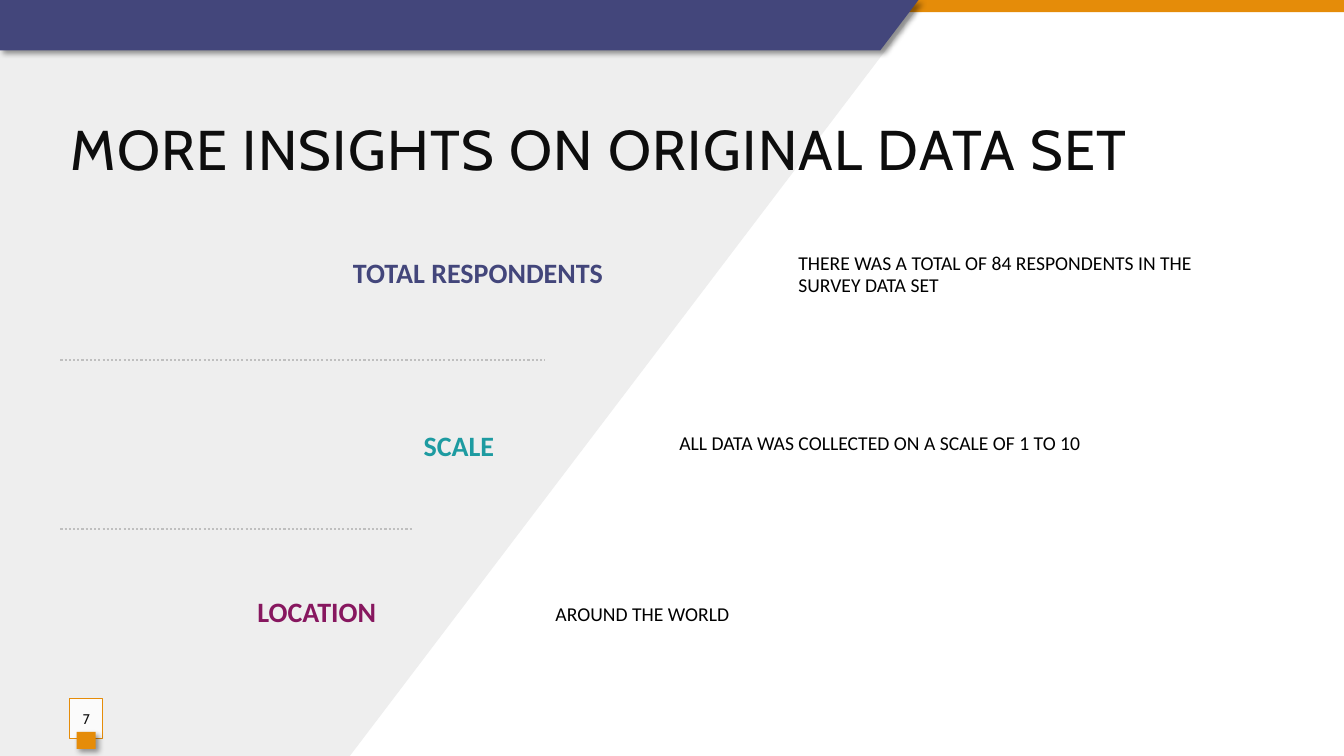
from lxml import etree
from pptx import Presentation
from pptx.dml.color import RGBColor
from pptx.enum.dml import MSO_LINE
from pptx.enum.shapes import MSO_CONNECTOR, MSO_SHAPE
from pptx.enum.text import MSO_ANCHOR, MSO_AUTO_SIZE, PP_ALIGN
from pptx.oxml.ns import qn
from pptx.util import Inches, Pt

RECTANGLE, STRAIGHT = MSO_SHAPE.RECTANGLE, MSO_CONNECTOR.STRAIGHT
LEFT, CENTER, RIGHT = PP_ALIGN.LEFT, PP_ALIGN.CENTER, PP_ALIGN.RIGHT
MIDDLE, FIXED_SIZE, DOTTED = MSO_ANCHOR.MIDDLE, MSO_AUTO_SIZE.NONE, MSO_LINE.ROUND_DOT
TITLE_ONLY = 5

COLORS = {
    "panel": "EEEEEE", "orange": "E58C09", "indigo": "43467B", "teal": "1D9BA1",
    "plum": "87175F", "dots": "BFBFBF", "ink": "0D0D0D", "black": "000000",
    "white": "FFFFFF",
}
HEADING_FONT, BODY_FONT = "Cabin", "Calibri"


def rgb(name):
    return RGBColor.from_string(COLORS[name])


def write(shape, text, font=BODY_FONT, size=14, color="black", bold=False,
          align=LEFT, line_spacing=None, tracking=None, side_inset=0.1):
    """Put one formatted, vertically centred paragraph into a shape."""
    frame = shape.text_frame
    frame.word_wrap, frame.auto_size = True, FIXED_SIZE
    frame.vertical_anchor = MIDDLE
    frame.margin_left = frame.margin_right = Inches(side_inset)
    frame.margin_top = frame.margin_bottom = Inches(0.05)
    paragraph = frame.paragraphs[0]
    paragraph.alignment = align
    if line_spacing:
        paragraph.line_spacing = line_spacing
    run = paragraph.add_run()
    run.text = text
    run.font.name, run.font.size, run.font.bold = font, Pt(size), bold
    run.font.color.rgb = rgb(color)
    if tracking:
        run.font._element.set("spc", str(tracking * 100))


class SlideBuilder:
    """Draws on one slide; every length is a percentage of the slide's size."""

    def __init__(self, deck):
        self.deck = deck
        self.slide = deck.slides.add_slide(deck.slide_layouts[TITLE_ONLY])
        self.shapes = self.slide.shapes
        self.slide.background.fill.solid()
        self.slide.background.fill.fore_color.rgb = rgb("white")

    def x(self, share):
        return round(self.deck.slide_width * share / 100)

    def y(self, share):
        return round(self.deck.slide_height * share / 100)

    def box(self, left, top, width, height):
        return self.x(left), self.y(top), self.x(width), self.y(height)

    def paint(self, shape, fill, outline=None, opacity=None, shadow=False):
        shape.shadow.inherit = False
        shape.fill.solid()
        shape.fill.fore_color.rgb = rgb(fill)
        if opacity:
            color = shape._element.spPr.find(qn("a:solidFill"))[0]
            etree.SubElement(color, qn("a:alpha"), val=str(opacity * 1000))
        if outline:
            shape.line.color.rgb = rgb(outline)
            shape.line.width = Pt(0.75)
        else:
            shape.line.fill.background()
        if shadow:
            effects = shape._element.spPr.find(qn("a:effectLst"))
            outer = etree.SubElement(
                effects, qn("a:outerShdw"), blurRad=str(Pt(4)), dist=str(Pt(3)),
                dir=str(45 * 60000), algn="tl", rotWithShape="0")
            tint = etree.SubElement(outer, qn("a:srgbClr"), val=COLORS["black"])
            etree.SubElement(tint, qn("a:alpha"), val="40000")
        return shape

    def rectangle(self, left, top, width, height, fill, **style):
        shape = self.shapes.add_shape(RECTANGLE, *self.box(left, top, width, height))
        return self.paint(shape, fill, **style)

    def polygon(self, corners, fill, **style):
        start, *rest = [(self.x(x), self.y(y)) for x, y in corners]
        outline = self.shapes.build_freeform(*start)
        outline.add_line_segments(rest, close=True)
        return self.paint(outline.convert_to_shape(), fill, **style)

    def title(self, left, top, width, height, text, **style):
        title = self.shapes.title
        title.left, title.top, title.width, title.height = self.box(
            left, top, width, height)
        self.shapes._spTree.append(title._element)  # bring in front of the panel
        write(title, text, **style)

    def text(self, left, top, width, height, text, **style):
        write(self.shapes.add_textbox(*self.box(left, top, width, height)),
              text, **style)

    def divider(self, left, right, row):
        line = self.shapes.add_connector(
            STRAIGHT, self.x(left), self.y(row), self.x(right), self.y(row))
        line.line.color.rgb = rgb("dots")
        line.line.width, line.line.dash_style = Pt(1.5), DOTTED
        etree.SubElement(line._element.spPr, qn("a:effectLst"))


# heading, colour, heading left / right / top, detail, detail left / top
INSIGHTS = [
    ("TOTAL RESPONDENTS", "indigo", 5.1, 45.61, 33.2,
     "THERE WAS A TOTAL OF 84 RESPONDENTS IN THE SURVEY DATA SET", 58.66, 29.73),
    ("SCALE", "teal", 4.5, 37.51, 56.13,
     "ALL DATA WAS COLLECTED ON A SCALE OF 1 TO 10", 49.81, 52.13),
    ("LOCATION", "plum", 4.5, 28.73, 78.13,
     "AROUND THE WORLD", 40.59, 74.67),
]
MARGIN, DETAIL_RIGHT = 4.5, 94.07
HEADING_HEIGHT, DETAIL_HEIGHT = 6.13, 13.33
DIVIDERS = [(40.51, 47.6), (30.76, 70)]


def main():
    deck = Presentation()
    deck.slide_width, deck.slide_height = Inches(13.33), Inches(7.5)
    page = SlideBuilder(deck)

    page.polygon([(0, 0), (68.34, 0), (68.34, 0.93), (26.03, 100), (0, 100)], "panel")
    page.rectangle(0, 0, 100, 1.6, "orange")
    page.polygon([(0, 0), (68.34, 0), (65.49, 6.67), (0, 6.67)], "indigo", shadow=True)
    page.title(MARGIN, 14.4, 88.67, 10.27, "MORE INSIGHTS ON ORIGINAL DATA SET",
               font=HEADING_FONT, size=40, color="ink", tracking=1)

    for (heading, color, left, right, top,
         detail, detail_left, detail_top) in INSIGHTS:
        page.text(detail_left, detail_top, DETAIL_RIGHT - detail_left,
                  DETAIL_HEIGHT, detail, line_spacing=0.9)
        page.text(left, top, right - left, HEADING_HEIGHT, heading, size=20,
                  color=color, bold=True, align=RIGHT, line_spacing=0.9)

    page_number = page.rectangle(5.18, 92.4, 2.48, 5.33, "white",
                                 outline="orange", opacity=82)
    write(page_number, "7", font=HEADING_FONT, size=10, color="ink",
          align=CENTER, side_inset=0)
    page.rectangle(5.7, 96.8, 1.43, 2.27, "orange", shadow=True)

    for right, row in DIVIDERS:
        page.divider(MARGIN, right, row)

    deck.save("out.pptx")


if __name__ == "__main__":
    main()
